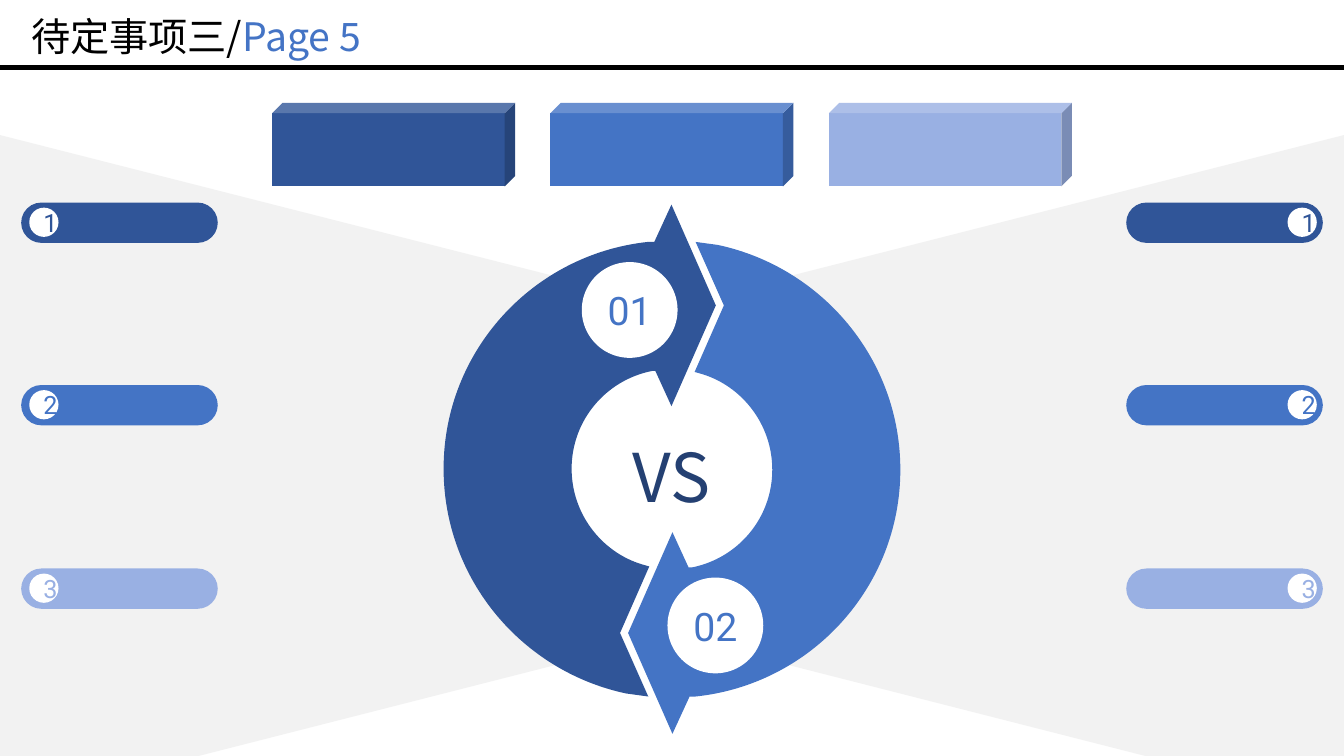
from dataclasses import dataclass

from lxml import etree
from pptx import Presentation
from pptx import util as u
from pptx.dml.color import RGBColor
from pptx.enum import shapes, text
from pptx.oxml.ns import qn

PX = 9144
WIDTH, HEIGHT = 1333, 750
RING_HEIGHT_SUM = 931

Point = tuple[int, int]
Segment = tuple[Point, ...]


@dataclass(frozen=True)
class Theme:
    navy: str = "305598"
    blue: str = "4474C5"
    pale: str = "99B0E3"
    ink: str = "244072"
    black: str = "000000"
    white: str = "FFFFFF"
    grey: str = "F2F2F2"
    body: str = "Noto Sans CJK SC"
    digits: str = "Roboto"
    small: int = 18
    large: int = 28
    huge: int = 48


@dataclass(frozen=True)
class Box:
    x: int
    y: int
    w: int
    h: int

    def emu(self) -> list[int]:
        return [v * PX for v in (self.x, self.y, self.w, self.h)]


@dataclass(frozen=True)
class Run:
    text: str
    font: str
    size: int
    color: str


@dataclass(frozen=True)
class Side:
    pill_x: int
    badge_x: int


T = Theme()
SERIES = (T.navy, T.blue, T.pale)
SIDES = (Side(21, 29), Side(1117, 1277))
BACKDROP: list[Segment] = [((0, 134),), ((554, 275),), ((554, 659),), ((197, 750),), ((0, 750),)]
HALF_RING: list[Segment] = [
    ((666, 203),), ((710, 303),), ((666, 403),), ((650, 368),), ((647, 368),),
    ((601, 377), (567, 417), (567, 465)),
    ((567, 510), (597, 548), (637, 560)),
    ((644, 562),), ((615, 628),), ((643, 691),), ((621, 688),),
    ((518, 666), (440, 575), (440, 465)),
    ((440, 348), (529, 252), (643, 240)),
    ((649, 240),),
]


def set_all(obj, values: dict) -> None:
    for name, value in values.items():
        setattr(obj, name, value)


def paint(sp, color: str) -> None:
    sp.shadow.inherit = False
    sp.fill.solid()
    sp.fill.fore_color.rgb = RGBColor.from_string(color)
    sp.line.fill.background()


def add_run(p, run: Run) -> None:
    r = p.add_run()
    r.text = run.text
    set_all(r.font, {"name": run.font, "size": u.Pt(run.size)})
    r.font.color.rgb = RGBColor.from_string(run.color)
    ea = etree.SubElement(r.font._element, qn("a:ea"))
    ea.set("typeface", run.font)


def add_preset(slide, kind, box: Box, color: str, adj: float | None = None):
    sp = slide.shapes.add_shape(kind, *box.emu())
    paint(sp, color)
    if adj is not None:
        sp.adjustments[0] = adj
    return sp


def add_badge(slide, box: Box, run: Run) -> None:
    sp = add_preset(slide, shapes.MSO_SHAPE.OVAL, box, T.white)
    sp.text_frame.vertical_anchor = text.MSO_ANCHOR.MIDDLE
    p = sp.text_frame.paragraphs[0]
    p.alignment = text.PP_ALIGN.CENTER
    add_run(p, run)


def add_label(slide, box: Box, runs: list[Run], align) -> None:
    tf = slide.shapes.add_textbox(*box.emu()).text_frame
    set_all(tf, {"word_wrap": False, "auto_size": text.MSO_AUTO_SIZE.SHAPE_TO_FIT_TEXT})
    p = tf.paragraphs[0]
    p.alignment = align
    for run in runs:
        add_run(p, run)


def add_outline(slide, segments: list[Segment], color: str) -> None:
    points = [point for segment in segments for point in segment]
    fb = slide.shapes.build_freeform(*points[0], scale=PX)
    fb.add_line_segments(points[1:], close=True)
    sp = fb.convert_to_shape()
    paint(sp, color)
    lines = iter(list(sp._element.iter(qn("a:lnTo"))))
    for segment in segments[1:]:
        steps = [next(lines) for _ in segment]
        if len(steps) == 3:
            curve = etree.Element(qn("a:cubicBezTo"))
            steps[0].addprevious(curve)
            for step in steps:
                curve.append(step[0])
                step.getparent().remove(step)


def mirror(segments: list[Segment]) -> list[Segment]:
    return [tuple((WIDTH - x, y) for x, y in segment) for segment in segments]


def half_turn(segments: list[Segment]) -> list[Segment]:
    return [tuple((WIDTH - x, RING_HEIGHT_SUM - y) for x, y in segment) for segment in segments]


def add_rule(slide) -> None:
    line = slide.shapes.add_connector(shapes.MSO_CONNECTOR.STRAIGHT, 0, 67 * PX, WIDTH * PX, 67 * PX)
    line.line.width = u.Pt(3)
    line.line.color.rgb = RGBColor.from_string(T.black)
    etree.SubElement(line._element.spPr, qn("a:effectLst"))


def main() -> None:
    prs = Presentation()
    set_all(prs, {"slide_width": WIDTH * PX, "slide_height": HEIGHT * PX})
    slide = prs.slides.add_slide(prs.slide_layouts[6])

    add_rule(slide)
    add_outline(slide, mirror(BACKDROP), T.grey)
    title = [Run("待定事项三/", T.body, T.large, T.black), Run("Page 5", T.body, T.large, T.blue)]
    add_label(slide, Box(21, 7, 585, 57), title, text.PP_ALIGN.LEFT)
    add_outline(slide, BACKDROP, T.grey)
    add_outline(slide, HALF_RING, T.navy)
    add_outline(slide, half_turn(HALF_RING), T.blue)

    for side in SIDES:
        for i, color in enumerate(SERIES):
            y = 201 + i * 363 // 2
            pill = Box(side.pill_x, y, 195, 40)
            add_preset(slide, shapes.MSO_SHAPE.ROUNDED_RECTANGLE, pill, color, 0.5)
            badge = Box(side.badge_x, y + 5, 29, 29)
            add_badge(slide, badge, Run(str(i + 1), T.digits, T.small, color))

    for i, color in enumerate(SERIES):
        add_preset(slide, shapes.MSO_SHAPE.CUBE, Box(270 + 276 * i, 102, 241, 83), color, 0.125)

    for number, x, y in (("01", 577, 260), ("02", 662, 573)):
        add_badge(slide, Box(x, y, 95, 95), Run(number, T.digits, T.large, T.blue))
    versus = [Run("VS", T.body, T.huge, T.ink)]
    add_label(slide, Box(617, 427, 98, 91), versus, text.PP_ALIGN.CENTER)

    prs.save("out.pptx")


if __name__ == "__main__":
    main()
